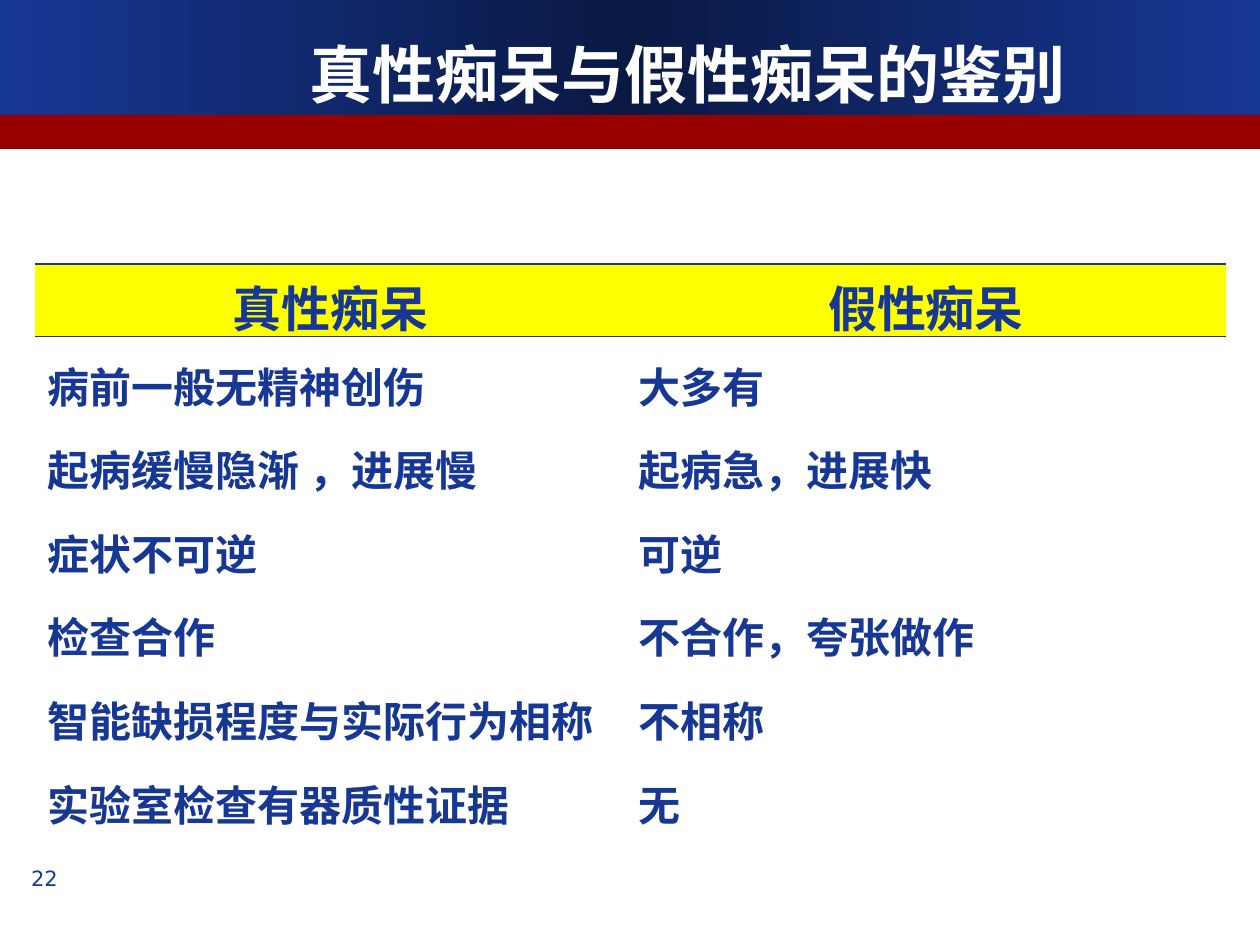
from typing import NamedTuple

from lxml import etree
from pptx import Presentation
from pptx import util as u
from pptx.dml.color import RGBColor
from pptx.enum import shapes, text
from pptx.oxml.ns import qn

PX = 914400 // 126
BLUE = RGBColor(0x16, 0x37, 0x94)
NAVY = RGBColor(0x0A, 0x19, 0x44)
RED = RGBColor(0x99, 0x00, 0x00)
YELLOW = RGBColor(0xFF, 0xFF, 0x00)
WHITE = RGBColor(0xFF, 0xFF, 0xFF)
CHINESE_FONT = "Noto Sans CJK SC"
NO_GRID_STYLE = "{2D5ABB26-0587-4C30-8999-92F81FD0307C}"


class Box(NamedTuple):
    left: int
    top: int
    width: int
    height: int

    def emu(self) -> list[int]:
        return [length * PX for length in self]


class Style(NamedTuple):
    size: int
    color: RGBColor
    font: str = CHINESE_FONT
    bold: bool = True
    align: text.PP_ALIGN = text.PP_ALIGN.CENTER
    line_spacing: float = 1.0
    space_before: int = 0


class Column(NamedTuple):
    width: int
    heading: str
    features: list[str]


TITLE = Style(36, WHITE)
HEADING = Style(28, BLUE)
FEATURE = Style(24, BLUE, align=text.PP_ALIGN.LEFT, line_spacing=1.2, space_before=6)
PAGE_NUMBER = Style(12, BLUE, font="DejaVu Sans", bold=False)

ROW_HEIGHTS = [72, 544]
COLUMNS = [
    Column(591, "真性痴呆", [
        "病前一般无精神创伤",
        "起病缓慢隐渐 ，进展慢",
        "症状不可逆",
        "检查合作",
        "智能缺损程度与实际行为相称",
        "实验室检查有器质性证据",
    ]),
    Column(600, "假性痴呆", [
        "大多有",
        "起病急，进展快",
        "可逆",
        "不合作，夸张做作",
        "不相称",
        "无",
    ]),
]


def write_lines(frame, lines: list[str], style: Style) -> None:
    frame.word_wrap = True
    for index, line in enumerate(lines):
        paragraph = frame.add_paragraph() if index else frame.paragraphs[0]
        paragraph.text = line
        paragraph.alignment = style.align
        paragraph.line_spacing = style.line_spacing
        paragraph.space_before = u.Pt(style.space_before if index else 0)
        font = paragraph.font
        font.size = u.Pt(style.size)
        font.bold = style.bold
        font.color.rgb = style.color
        font.name = style.font
        etree.SubElement(font._rPr, qn("a:ea"), typeface=style.font)


def add_band(slide, box: Box):
    band = slide.shapes.add_shape(shapes.MSO_SHAPE.RECTANGLE, *box.emu())
    band.shadow.inherit = False
    band.line.fill.background()
    return band


def add_label(slide, box: Box, content: str, style: Style, anchor: text.MSO_ANCHOR) -> None:
    frame = slide.shapes.add_textbox(*box.emu()).text_frame
    write_lines(frame, [content], style)
    frame.vertical_anchor = anchor


def fade_to_navy(band) -> None:
    band.fill.gradient()
    band.fill.gradient_angle = 0
    stops = band.fill._fill._gradFill.find(qn("a:gsLst"))
    for stop in list(stops):
        stops.remove(stop)
    for position, color in ((0, BLUE), (50, NAVY), (100, BLUE)):
        stop = etree.SubElement(stops, qn("a:gs"), pos=str(position * 1000))
        etree.SubElement(stop, qn("a:srgbClr"), val=str(color))


def add_border(cell, side: str, points: float) -> None:
    properties = cell._tc.get_or_add_tcPr()
    line = etree.SubElement(properties, qn(f"a:{side}"), w=str(u.Pt(points)))
    fill = etree.SubElement(line, qn("a:solidFill"))
    etree.SubElement(fill, qn("a:srgbClr"), val=str(BLUE))


def add_comparison(slide, left: int, top: int) -> None:
    box = Box(left, top, sum(column.width for column in COLUMNS), sum(ROW_HEIGHTS))
    table = slide.shapes.add_table(len(ROW_HEIGHTS), len(COLUMNS), *box.emu()).table
    table.first_row = table.horz_banding = False
    table._tbl.tblPr.find(qn("a:tableStyleId")).text = NO_GRID_STYLE
    for row, height in zip(table.rows, ROW_HEIGHTS):
        row.height = height * PX
    for index, column in enumerate(COLUMNS):
        table.columns[index].width = column.width * PX
        heading, features = table.cell(0, index), table.cell(1, index)
        add_border(heading, "lnT", 1.08)
        add_border(heading, "lnB", 0.45)
        add_border(features, "lnT", 0.45)
        heading.fill.solid()
        heading.fill.fore_color.rgb = YELLOW
        features.fill.background()
        write_lines(heading.text_frame, [column.heading], HEADING)
        write_lines(features.text_frame, column.features, FEATURE)


def main() -> None:
    presentation = Presentation()
    presentation.slide_width, presentation.slide_height = u.Inches(10), u.Inches(7.5)
    slide = presentation.slides.add_slide(presentation.slide_layouts[6])
    fade_to_navy(add_band(slide, Box(0, 0, 1260, 115)))
    stripe = add_band(slide, Box(0, 115, 1260, 34))
    stripe.fill.solid()
    stripe.fill.fore_color.rgb = RED
    add_label(slide, Box(210, 21, 955, 105), "真性痴呆与假性痴呆的鉴别", TITLE, text.MSO_ANCHOR.MIDDLE)
    add_comparison(slide, 35, 264)
    add_label(slide, Box(15, 859, 59, 59), "22", PAGE_NUMBER, text.MSO_ANCHOR.TOP)
    presentation.save("out.pptx")


if __name__ == "__main__":
    main()
